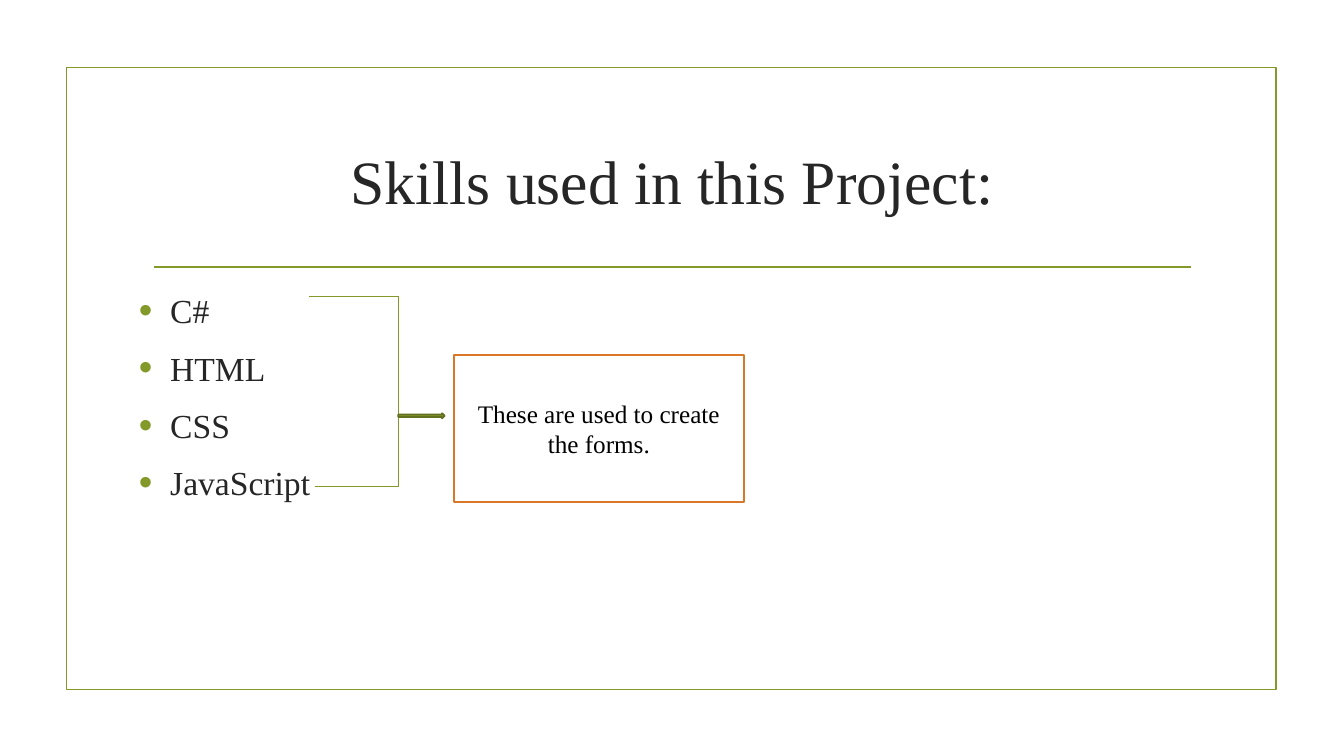
from pptx import Presentation, util as u
from pptx.dml.color import RGBColor
from pptx.enum import shapes as sh, text as tx
from pptx.oxml.ns import qn
from lxml import etree

PX = 9144  # 100 px to the inch
FONT = "Times New Roman"
HUES = {"green": "83992A", "dark": "61711F", "orange": "D97828",
        "ink": "262626", "black": "000000", "white": "FFFFFF"}
SKILLS = ["C#", "HTML", "CSS", "JavaScript"]


def px(*vals):
    return [u.Emu(v * PX) for v in vals]


def hue(name):
    return RGBColor.from_string(HUES[name])


def put(obj, form):
    for key, val in form.items():
        setattr(obj, key, val)


def style(para, size, color, **form):
    put(para, form)
    put(para.font, {"name": FONT, "size": u.Pt(size)})
    para.font.color.rgb = hue(color)


def stroke(line, color, width):
    line.color.rgb = hue(color)
    line.width = u.Pt(width)


def rule(slide, ends, width):
    line = slide.shapes.add_connector(sh.MSO_CONNECTOR.STRAIGHT, *px(*ends))
    stroke(line.line, "green", width)
    etree.SubElement(line._element.spPr, qn("a:effectLst"))


def block(slide, kind, box, fill, edge):
    item = slide.shapes.add_shape(kind, *px(*box))
    item.shadow.inherit = False
    if fill:
        item.fill.solid()
        item.fill.fore_color.rgb = hue(fill)
    else:
        item.fill.background()
    stroke(item.line, edge, 1.25)
    return item


def label(item, words, size, color):
    frame = item.text_frame
    put(frame, {"word_wrap": True, "vertical_anchor": tx.MSO_ANCHOR.MIDDLE})
    para = frame.paragraphs[0]
    para.text = words
    style(para, size, color, alignment=tx.PP_ALIGN.CENTER)


def bullet(para):
    props = para._p.get_or_add_pPr()
    put_in = lambda tag, **att: etree.SubElement(props, qn(tag), **att)
    props.set("marL", str(31 * PX))
    props.set("indent", str(-31 * PX))
    tint = put_in("a:buClr")
    etree.SubElement(tint, qn("a:srgbClr"), val=HUES["green"])
    put_in("a:buSzPct", val="115000")
    put_in("a:buFont", typeface="Arial")
    put_in("a:buChar", char="•")


def bullets(slide, box, items):
    frame = slide.shapes.add_textbox(*px(*box)).text_frame
    put(frame, {"word_wrap": True, "margin_top": px(8)[0]})
    for i, words in enumerate(items):
        para = frame.add_paragraph() if i else frame.paragraphs[0]
        para.text = words
        bullet(para)
        style(para, 24, "ink", space_before=u.Pt(6 if i else 0),
              space_after=u.Pt(6))


def main():
    deck = Presentation()
    put(deck, {"slide_width": u.Inches(13.33), "slide_height": u.Inches(7.5)})
    slide = deck.slides.add_slide(deck.slide_layouts[6])
    rect = sh.MSO_SHAPE.RECTANGLE

    # Frame and title
    block(slide, rect, (66, 67, 1200, 617), None, "green")
    rule(slide, (153, 265, 1181, 265), 1.25)
    title = slide.shapes.add_textbox(*px(142, 107, 1050, 143))
    label(title, "Skills used in this Project:", 44, "ink")

    # Skill list
    bullets(slide, (128, 280, 1050, 363), SKILLS)

    # Bracket round the list
    side, top, base = 395, 294, 483
    for ends in ((side, top, side, base), (306, top, side, top),
                 (312, base, side, base)):
        rule(slide, ends, 0.75)

    # Arrow to the note
    block(slide, sh.MSO_SHAPE.RIGHT_ARROW, (side, 410, 46, 5), "green", "dark")
    note = block(slide, rect, (450, 352, 288, 146), "white", "orange")
    label(note, "These are used to create the forms.", 18, "black")

    deck.save("out.pptx")


if __name__ == "__main__":
    main()
